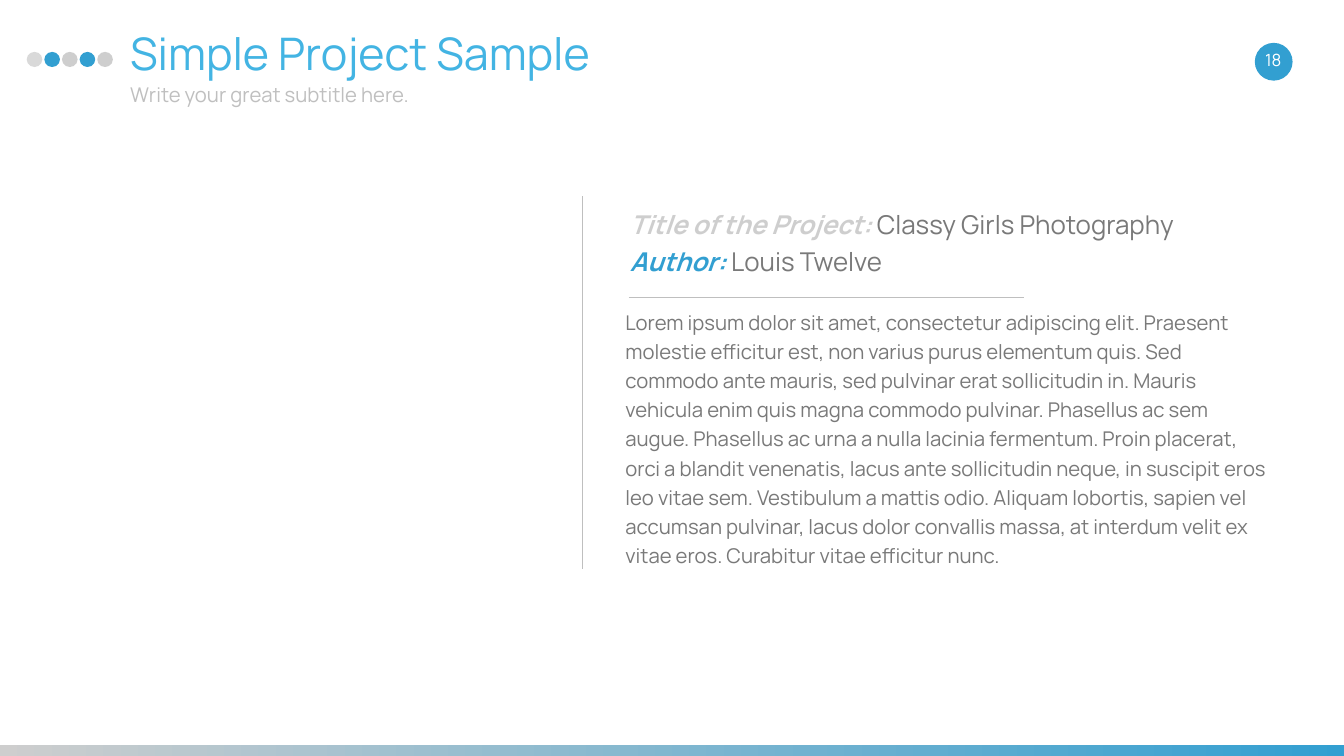
from dataclasses import dataclass

from lxml.etree import SubElement
from pptx import Presentation
from pptx.dml.color import RGBColor
from pptx.enum.shapes import MSO_CONNECTOR, MSO_SHAPE
from pptx.enum.text import MSO_ANCHOR, MSO_AUTO_SIZE, PP_ALIGN
from pptx.oxml.ns import qn
from pptx.util import Inches, Pt


@dataclass(frozen=True)
class Theme:
    """Colours, type sizes and font of the slide."""
    font: str = "Manrope"
    blue: str = "329FD1"
    sky: str = "43B4E3"
    silver: str = "CECECE"
    pale: str = "D9D9D9"
    rule: str = "BFBFBF"
    ink: str = "797979"
    white: str = "FFFFFF"
    title: int = 64
    heading: int = 37
    body: int = 29
    number: int = 24


THEME = Theme()
DESCRIPTION = (
    "Lorem ipsum dolor sit amet, consectetur adipiscing elit. Praesent molestie "
    "efficitur est, non varius purus elementum quis. Sed commodo ante mauris, sed "
    "pulvinar erat sollicitudin in. Mauris vehicula enim quis magna commodo pulvinar. "
    "Phasellus ac sem augue. Phasellus ac urna a nulla lacinia fermentum. Proin "
    "placerat, orci a blandit venenatis, lacus ante sollicitudin neque, in suscipit "
    "eros leo vitae sem. Vestibulum a mattis odio. Aliquam lobortis, sapien vel "
    "accumsan pulvinar, lacus dolor convallis massa, at interdum velit ex vitae eros. "
    "Curabitur vitae efficitur nunc."
)


def color(code):
    """Turn a hex code into a colour."""
    return RGBColor.from_string(code)


def add_span(para, text, size, code, strong=False):
    """Add one run, bold and italic when strong."""
    span = para.add_run()
    span.text = text
    font = span.font
    font.name, font.size = THEME.font, Pt(size)
    font.bold = font.italic = strong
    font.color.rgb = color(code)


def set_frame(box, anchor=MSO_ANCHOR.TOP, fit=MSO_AUTO_SIZE.NONE):
    """Give a box the shared insets and return its text frame."""
    frame = box.text_frame
    frame.word_wrap, frame.auto_size, frame.vertical_anchor = True, fit, anchor
    frame.margin_left = frame.margin_right = Inches(0.27)
    frame.margin_top = frame.margin_bottom = Inches(0.13)
    return frame


def fill_placeholder(box, top, height, text, size, code):
    """Move a header placeholder and write its line."""
    box.left, box.top = Inches(2.31), Inches(top)
    box.width, box.height = Inches(21.25), Inches(height)
    para = set_frame(box).paragraphs[0]
    para.alignment, para.space_before, para.line_spacing = PP_ALIGN.LEFT, Pt(0), 1.0
    add_span(para, text, size, code)


def add_text(page, place, lines, anchor=MSO_ANCHOR.TOP, align=PP_ALIGN.LEFT,
             spacing=1.0, fit=MSO_AUTO_SIZE.NONE):
    """Add a text box whose lines are lists of spans."""
    frame = set_frame(page.shapes.add_textbox(*map(Inches, place)), anchor, fit)
    for index, spans in enumerate(lines):
        para = frame.add_paragraph() if index else frame.paragraphs[0]
        para.alignment, para.line_spacing = align, spacing
        for span in spans:
            add_span(para, *span)


def add_plain_shape(page, kind, place, code):
    """Add a filled shape without outline or shadow."""
    shape = page.shapes.add_shape(kind, *map(Inches, place))
    shape.shadow.inherit = False
    shape.line.fill.background()
    shape.fill.solid()
    shape.fill.fore_color.rgb = color(code)
    return shape


def add_footer_bar(page):
    """Add the gradient bar along the bottom edge."""
    bar = add_plain_shape(page, MSO_SHAPE.RECTANGLE, (0, 14.79, 26.67, 0.38), THEME.blue)
    bar.fill.gradient()
    bar.fill.gradient_angle = 0
    for stop, code in zip(bar.fill.gradient_stops, (THEME.silver, THEME.blue)):
        stop.color.rgb = color(code)


def add_dots(page):
    """Add the row of header dots."""
    codes = (THEME.pale, THEME.blue, THEME.silver, THEME.blue, THEME.silver)
    for index, code in enumerate(codes):
        add_plain_shape(page, MSO_SHAPE.OVAL, (0.53 + 0.35 * index, 1.03, 0.31, 0.3), code)


def add_rule(page, *ends):
    """Add a hairline between two points."""
    rule = page.shapes.add_connector(MSO_CONNECTOR.STRAIGHT, *map(Inches, ends))
    rule.line.color.rgb = color(THEME.rule)
    rule.line.width = Pt(0.25)
    SubElement(rule.element.spPr, qn("a:effectLst"))


def main():
    """Build and save the slide."""
    deck = Presentation()
    deck.slide_width, deck.slide_height = Inches(26.67), Inches(15)
    page = deck.slides.add_slide(deck.slide_layouts[0])
    add_footer_bar(page)
    add_dots(page)
    add_plain_shape(page, MSO_SHAPE.OVAL, (24.9, 0.85, 0.75, 0.75), THEME.blue)
    fill_placeholder(page.shapes.title, 0.37, 1.6, "Simple Project Sample",
                     THEME.title, THEME.sky)
    fill_placeholder(page.placeholders[1], 1.5, 0.85, "Write your great subtitle here.",
                     THEME.body, THEME.rule)
    add_text(page, (24.68, 0.78, 1.17, 0.8), [[("18", THEME.number, THEME.white)]],
             anchor=MSO_ANCHOR.MIDDLE, align=PP_ALIGN.CENTER)
    add_text(page, (12.14, 5.92, 13.34, 5.52), [[(DESCRIPTION, THEME.body, THEME.ink)]],
             spacing=1.2, fit=MSO_AUTO_SIZE.SHAPE_TO_FIT_TEXT)
    details = (("Title of the Project: ", THEME.silver, "Classy Girls Photography"),
               ("Author: ", THEME.blue, "Louis Twelve"))
    add_text(page, (12.23, 3.89, 13.24, 1.76),
             [[(label, THEME.heading, code, True), (value, THEME.heading, THEME.ink)]
              for label, code, value in details],
             spacing=1.2, fit=MSO_AUTO_SIZE.SHAPE_TO_FIT_TEXT)
    add_rule(page, 12.48, 5.89, 20.33, 5.89)
    add_rule(page, 11.56, 11.28, 11.56, 3.89)
    deck.save("out.pptx")


if __name__ == "__main__":
    main()
